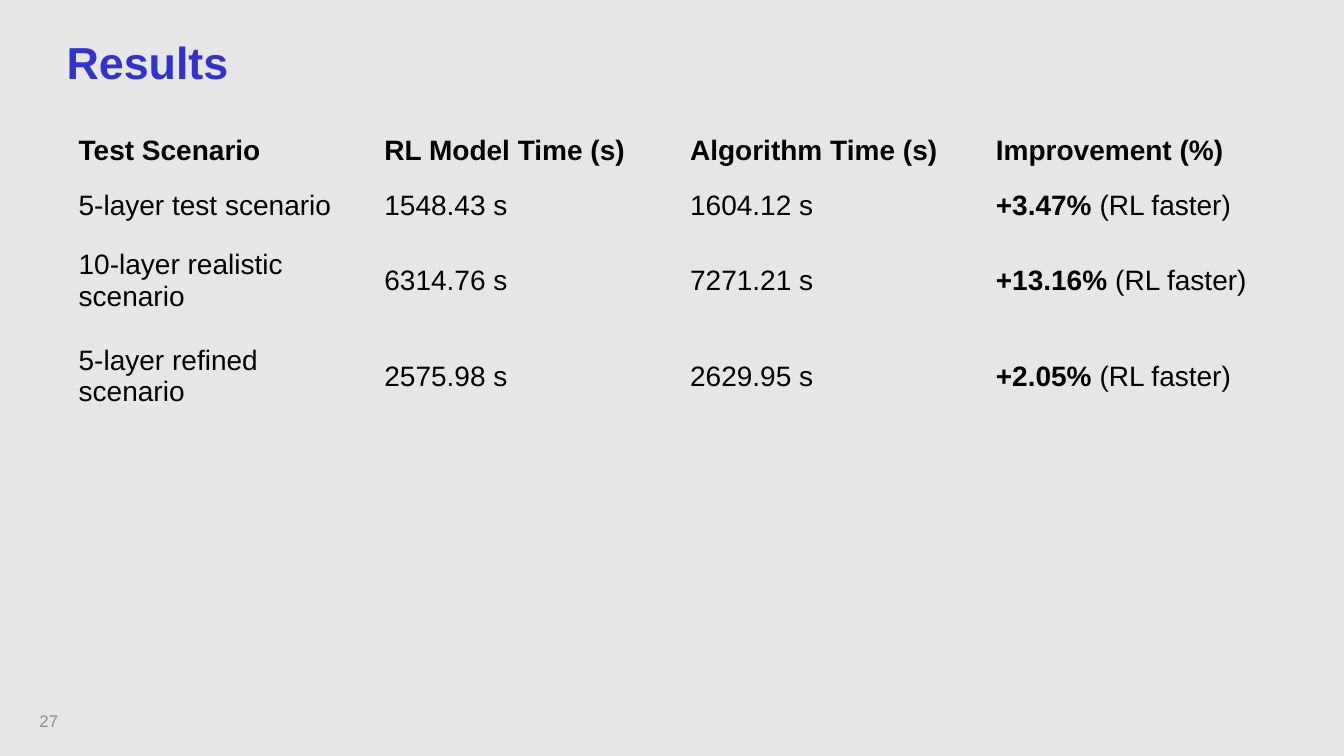
"""Builds the results slide comparing RL model and algorithm times."""
import dataclasses

import pptx
import pptx.dml.color
import pptx.enum.text
import pptx.oxml.ns
import pptx.util


@dataclasses.dataclass(frozen=True)
class Theme:
    font: str = "Arial"
    background: str = "E6E6E6"
    heading: str = "3333CC"
    body: str = "000000"
    muted: str = "8C8C8C"
    heading_size: int = 32
    body_size: int = 20
    number_size: int = 12
    table_style: str = "{2D5ABB26-0587-4C30-8999-92F81FD0307C}"


THEME = Theme()
WIDTH, HEIGHT = pptx.util.Inches(13.33), pptx.util.Inches(7.5)
ROW_HEIGHTS = (0.54, 0.54, 0.95, 0.95)
HEADERS = ("Test Scenario", "RL Model Time (s)", "Algorithm Time (s)", "Improvement (%)")
SCENARIOS = (
    ("5-layer test scenario", "1548.43 s", "1604.12 s", "+3.47%"),
    ("10-layer realistic scenario", "6314.76 s", "7271.21 s", "+13.16%"),
    ("5-layer refined scenario", "2575.98 s", "2629.95 s", "+2.05%"),
)


def rgb(color):
    return pptx.dml.color.RGBColor.from_string(color)


def format_run(run, size, color, bold=False):
    run.font.name = THEME.font
    run.font.size = pptx.util.Pt(size)
    run.font.bold = bold
    run.font.color.rgb = rgb(color)


def place(shape, left, top, width, height):
    shape.left, shape.top = int(WIDTH * left), int(HEIGHT * top)
    shape.width, shape.height = int(WIDTH * width), int(HEIGHT * height)


def write_line(shape, text, size, color, bold=False):
    frame = shape.text_frame
    frame.text = text
    frame.word_wrap = True
    frame.auto_size = pptx.enum.text.MSO_AUTO_SIZE.NONE
    frame.vertical_anchor = pptx.enum.text.MSO_ANCHOR.MIDDLE
    paragraph = frame.paragraphs[0]
    paragraph.alignment = pptx.enum.text.PP_ALIGN.LEFT
    format_run(paragraph.runs[0], size, color, bold)


def add_heading(slide, text):
    heading = slide.shapes.title
    place(heading, 0.042, 0.028, 0.934, 0.107)
    write_line(heading, text, THEME.heading_size, THEME.heading, bold=True)


def add_page_number(slide, number):
    page_number = slide.shapes.add_textbox(0, 0, 0, 0)
    place(page_number, 0.022, 0.927, 0.225, 0.053)
    write_line(page_number, number, THEME.number_size, THEME.muted)


def fill_cell(cell, text, bold, remark=""):
    cell.fill.background()
    cell.vertical_anchor = pptx.enum.text.MSO_ANCHOR.MIDDLE
    paragraph = cell.text_frame.paragraphs[0]
    paragraph.text = text
    format_run(paragraph.runs[0], THEME.body_size, THEME.body, bold)
    if remark:
        remark_run = paragraph.add_run()
        remark_run.text = remark
        format_run(remark_run, THEME.body_size, THEME.body)


def add_results_table(slide):
    frame = slide.shapes.add_table(len(ROW_HEIGHTS), len(HEADERS), 0, 0, WIDTH, HEIGHT)
    place(frame, 0.051, 0.164, 0.91, 0.398)
    results = frame.table
    results.first_row = results.horz_banding = False
    style_tag = pptx.oxml.ns.qn("a:tableStyleId")
    next(frame.element.iter(style_tag)).text = THEME.table_style
    for column in results.columns:
        column.width = int(WIDTH * 0.91 / len(HEADERS))
    for row, height in zip(results.rows, ROW_HEIGHTS):
        row.height = pptx.util.Inches(height)
    for column, header in enumerate(HEADERS):
        fill_cell(results.cell(0, column), header, bold=True)
    for row, scenario in enumerate(SCENARIOS, start=1):
        for column, value in enumerate(scenario):
            is_improvement = column == len(HEADERS) - 1
            remark = " (RL faster)" if is_improvement else ""
            fill_cell(results.cell(row, column), value, is_improvement, remark)


def main():
    deck = pptx.Presentation()
    deck.slide_width, deck.slide_height = WIDTH, HEIGHT
    slide = deck.slides.add_slide(deck.slide_layouts.get_by_name("Title Only"))
    slide.background.fill.solid()
    slide.background.fill.fore_color.rgb = rgb(THEME.background)
    add_heading(slide, "Results")
    add_page_number(slide, "27")
    add_results_table(slide)
    deck.save("out.pptx")


if __name__ == "__main__":
    main()
